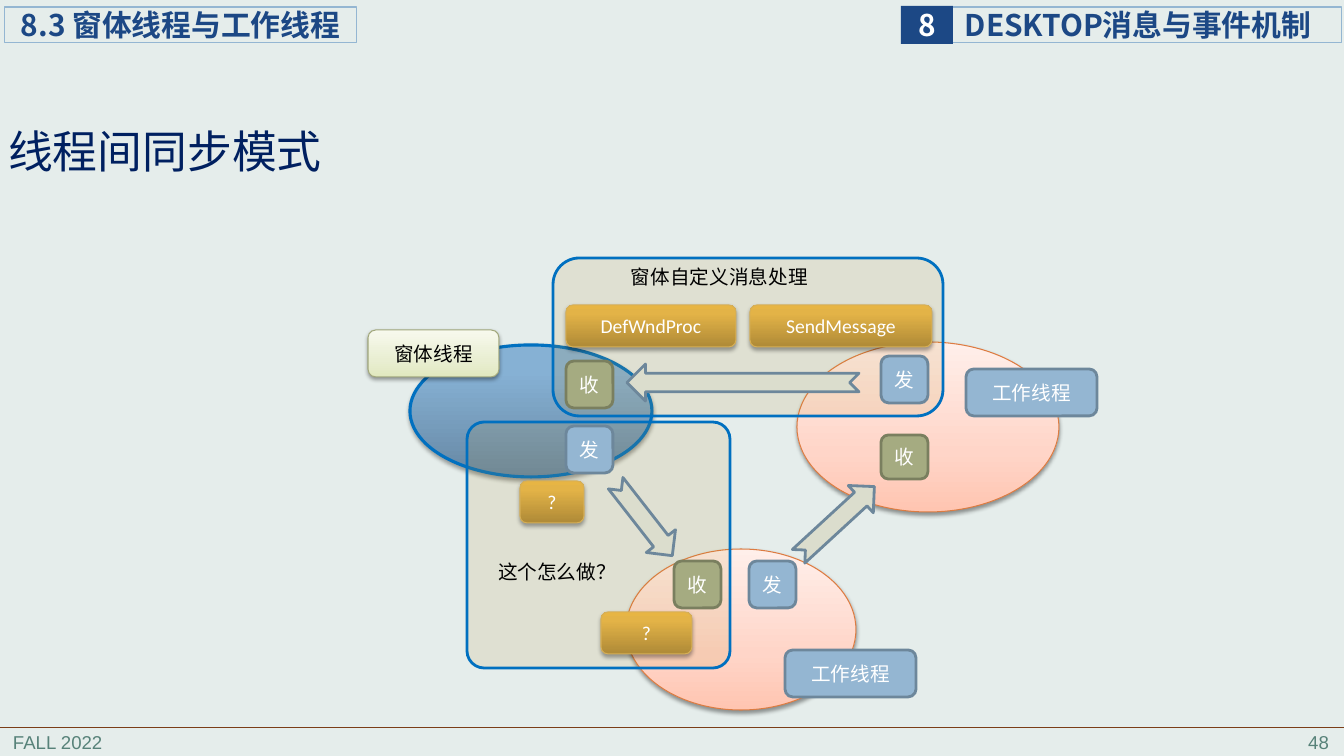
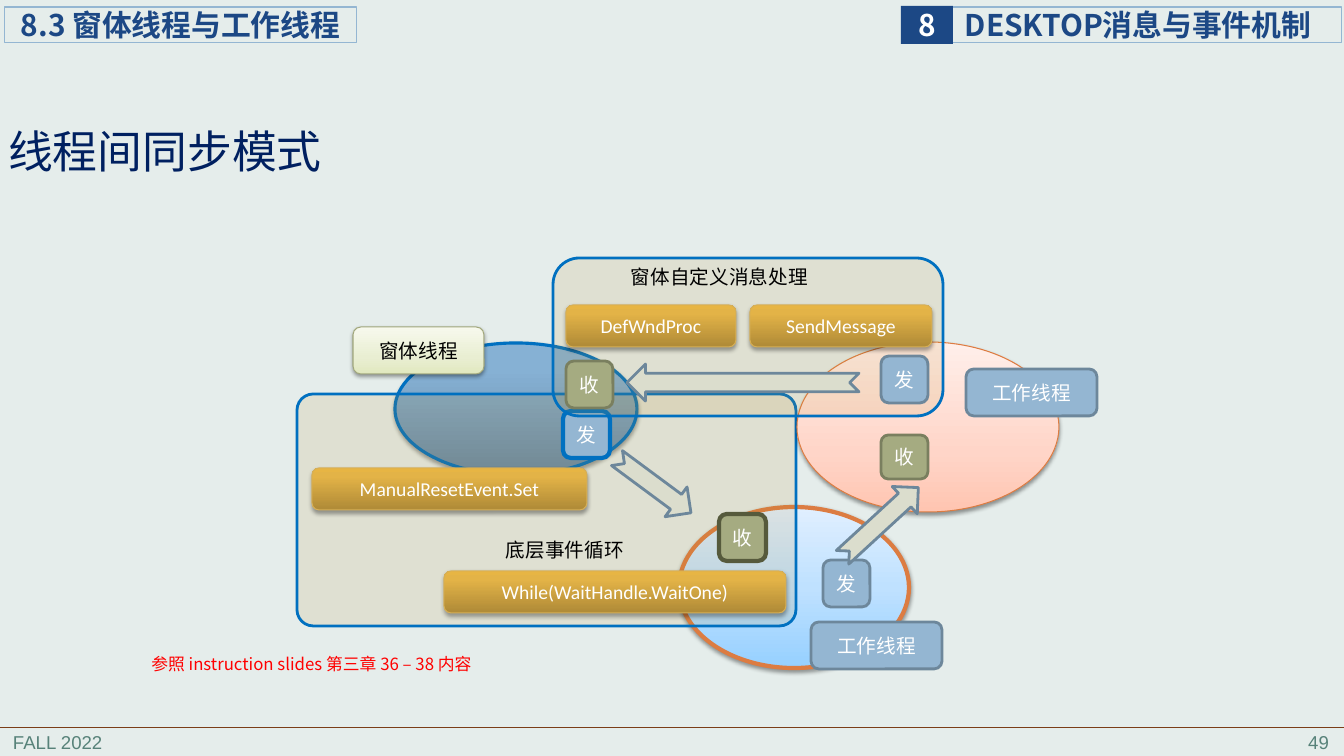
from dataclasses import dataclass, replace

from lxml import etree
from pptx import Presentation
from pptx import util as u
from pptx.dml.color import RGBColor
from pptx.enum import shapes, text
from pptx.oxml.ns import qn

PX = 914400 / 100.8  # EMU in one px
PAGE_W, PAGE_H = 1344, 756
Shape, Align, Anchor = shapes.MSO_SHAPE, text.PP_ALIGN, text.MSO_ANCHOR


@dataclass(frozen=True)
class Theme:
    paper: str = "E5EDEB"
    navy: str = "1C4885"
    title: str = "002060"
    footer: str = "578279"
    rule: str = "7B3D17"
    blue: str = "94B6D2"
    blue_edge: str = "6D879B"
    green: str = "A5AB81"
    green_edge: str = "7A7F5F"
    green_dark: str = "565A3C"
    frame: str = "0070C0"
    orange: str = "DC7C42"
    white: str = "FFFFFF"
    black: str = "000000"
    red: str = "FF0000"
    cjk: str = "Noto Sans CJK SC"
    latin: str = "Calibri"
    plain: str = "Arial"
    title_size: float = 32
    header_size: float = 21.3
    footer_size: float = 13.3
    body_size: float = 14
    note_size: float = 12


THEME = Theme()


@dataclass(frozen=True)
class Type:
    colour: str = THEME.white
    size: float = THEME.body_size
    face: str = THEME.cjk
    bold: bool = False
    align: Align = Align.CENTER
    anchor: Anchor = Anchor.MIDDLE
    insets: tuple[int, int, int, int] = (10, 5, 10, 5)
    leading: float = 1.0


@dataclass(frozen=True)
class Look:
    """A preset shape; fill is a list of (position, colour) stops, bottom to top."""
    preset: Shape = Shape.ROUNDED_RECTANGLE
    fill: tuple[tuple[int, str], ...] = ()
    edge: str = ""
    weight: float = 0.75
    opacity: int = 100
    shadow: tuple[int, float] = ()  # opacity in percent, distance in points
    corner: float | None = None
    type: Type = Type()


@dataclass(frozen=True)
class Part:
    look: Look | Type  # a Type alone makes a text box
    left: int
    top: int
    width: int
    height: int
    words: str = ""
    turn: float = 0


# Type styles
CAPTION = Type(THEME.black, align=Align.LEFT, anchor=Anchor.TOP)
NOTE = replace(CAPTION, colour=THEME.red, size=THEME.note_size, align=Align.CENTER)
TITLE = Type(THEME.title, THEME.title_size, align=Align.LEFT, insets=(8, 4, 8, 4), leading=0.9)
FOOTER = Type(THEME.footer, THEME.footer_size, THEME.plain, align=Align.LEFT, anchor=Anchor.TOP)
HEADER = Type(THEME.navy, THEME.header_size, bold=True, align=Align.LEFT, insets=(16, 0, 0, 0))
CHAPTER = replace(HEADER, insets=(12, 0, 0, 0))
NUMBER = replace(HEADER, colour=THEME.white, align=Align.CENTER, insets=(0, 0, 0, 0))

# Shape styles
SOFT, STRONG = (38, 1.6), (35, 1.8)
SECTION_BOX = Look(Shape.RECTANGLE, edge=THEME.blue, type=HEADER)
CHAPTER_BOX = replace(SECTION_BOX, type=CHAPTER)
NUMBER_BOX = Look(Shape.RECTANGLE, ((0, THEME.navy),), type=NUMBER)
WORKER = Look(Shape.OVAL, ((0, "FFC5B1"), (35, "FFD5C8"), (100, "FFEFEA")),
              THEME.orange, shadow=SOFT)
BLUE_WORKER = replace(WORKER, fill=((0, "96D0FF"), (50, "BFE1FF"), (100, "E0EFFF")), weight=3)
FORM = Look(Shape.OVAL, ((0, "6788A4"), (80, "86B1D4"), (100, "86B2D7")),
            THEME.frame, 2.25, shadow=STRONG)
PANEL = Look(fill=((0, "BA8F2D"),), edge=THEME.frame, weight=2, opacity=13)
LOW_PANEL = replace(PANEL, corner=0.07)
SEND = Look(fill=((0, THEME.blue),), edge=THEME.blue_edge, weight=2)
RECEIVE = replace(SEND, fill=((0, THEME.green),), edge=THEME.green_edge)
SEND_MARKED = replace(SEND, edge=THEME.frame, weight=3)
RECEIVE_MARKED = replace(RECEIVE, edge=THEME.green_dark, weight=3)
ARROW = Look(Shape.NOTCHED_RIGHT_ARROW, ((0, "DBDDCD"),), THEME.blue_edge, 2)
CALL = Look(fill=((0, "AF8A37"), (80, "E3B347"), (100, "E7B544")), edge="D6AF57",
            shadow=STRONG, type=Type(face=THEME.latin))
FORM_LABEL = Look(fill=((0, "E1E8BF"), (35, "E9EED2"), (100, "F7F9ED")), edge="A2A87D",
                  shadow=SOFT, type=Type(THEME.black))


# Part makers for the sizes that repeat
def button(look: Look, left: int, top: int, height: int = 47) -> Part:
    words = "收" if look in (RECEIVE, RECEIVE_MARKED) else "发"
    return Part(look, left, top, 47, height, words)


def label(look: Look, left: int, top: int) -> Part:
    words = "窗体线程" if look is FORM_LABEL else "工作线程"
    return Part(look, left, top, 131, 47, words)


def call(left: int, top: int, width: int, words: str) -> Part:
    return Part(CALL, left, top, width, 42, words)


def arrow(left: int, top: int, width: int, turn: float) -> Part:
    return Part(ARROW, left, top, width, 37, turn=turn)


# Parts on every slide
BANDS = [
    Part(CHAPTER_BOX, 953, 7, 389, 36, "DESKTOP消息与事件机制"),
    Part(NUMBER_BOX, 901, 6, 52, 38, "8"),
    Part(SECTION_BOX, 5, 7, 352, 36, "8.3 窗体线程与工作线程"),
    Part(FOOTER, 3, 726, 280, 31, "FALL 2022"),
]
UPPER_FLOW = [
    Part(WORKER, 797, 342, 262, 170),
    Part(PANEL, 553, 258, 390, 158),
    arrow(627, 364, 232, 180),
    Part(TITLE, 0, 117, 488, 75, "线程间同步模式"),
    call(750, 305, 182, "SendMessage"),
    label(SEND, 966, 369),
    button(SEND, 881, 356),
    button(RECEIVE, 566, 361),
    button(RECEIVE, 881, 435, 44),
    call(566, 305, 170, "DefWndProc"),
    Part(CAPTION, 621, 260, 249, 40, "窗体自定义消息处理"),
]


@dataclass(frozen=True)
class Scene:
    number: int
    behind: list[Part]
    front: list[Part]


SCENES = [
    # The open question
    Scene(48, [
        Part(WORKER, 626, 549, 230, 161),
        Part(FORM, 410, 345, 242, 132),
        Part(LOW_PANEL, 467, 422, 263, 246),
    ], [
        label(SEND, 785, 650),
        label(FORM_LABEL, 368, 330),
        button(SEND, 749, 561),
        arrow(785, 503, 103, 317.4),
        button(SEND, 566, 426),
        arrow(598, 501, 92, 52),
        button(RECEIVE, 674, 561),
        call(520, 481, 64, "?"),
        call(601, 612, 91, "?"),
        Part(CAPTION, 488, 555, 174, 40, "这个怎么做？"),
    ]),
    # The answer with events
    Scene(49, [
        Part(BLUE_WORKER, 679, 507, 230, 161),
        Part(FORM, 395, 343, 242, 132),
        Part(LOW_PANEL, 297, 394, 499, 232),
        label(SEND, 811, 622),
        label(FORM_LABEL, 353, 327),
        button(SEND_MARKED, 563, 411),
        arrow(608, 467, 92, 36.5),
        button(RECEIVE_MARKED, 719, 514),
        call(312, 468, 275, "ManualResetEvent.Set"),
        call(444, 571, 342, "While(WaitHandle.WaitOne)"),
        Part(CAPTION, 496, 533, 174, 40, "底层事件循环"),
    ], [
        button(SEND, 823, 560),
        arrow(829, 504, 103, 317.4),
        Part(NOTE, 127, 649, 369, 30, "参照 instruction slides 第三章 36 – 38 内容"),
    ]),
]


def px(length: float) -> int:
    return round(length * PX)


def rgb(colour: str) -> RGBColor:
    return RGBColor.from_string(colour)


def add_node(parent, tag: str, **attributes):
    values = {name: str(value) for name, value in attributes.items()}
    return etree.SubElement(parent, qn(tag), values)


def set_text(box, words: str, style: Type) -> None:
    frame = box.text_frame
    frame.text = words
    frame.word_wrap = True
    frame.vertical_anchor = style.anchor
    (frame.margin_left, frame.margin_top,
     frame.margin_right, frame.margin_bottom) = map(px, style.insets)
    para = frame.paragraphs[0]
    para.alignment = style.align
    para.line_spacing = style.leading
    for span in para.runs:
        span.font.size = u.Pt(style.size)
        span.font.bold = style.bold
        span.font.color.rgb = rgb(style.colour)
        span.font.name = style.face
        add_node(span.font._element, "a:ea", typeface=style.face)


def set_fill(box, look: Look) -> None:
    properties = box._element.spPr
    if not look.fill:
        box.fill.background()
    elif len(look.fill) == 1:
        box.fill.solid()
        box.fill.fore_color.rgb = rgb(look.fill[0][1])
        if look.opacity < 100:
            colour = properties.find(qn("a:solidFill"))[0]
            add_node(colour, "a:alpha", val=look.opacity * 1000)
    else:
        box.fill.gradient()
        box.fill.gradient_angle = 90
        stops = properties.find(".//" + qn("a:gsLst"))
        stops[:] = []
        for position, colour in look.fill:
            stop = add_node(stops, "a:gs", pos=position * 1000)
            add_node(stop, "a:srgbClr", val=colour)


def set_shadow(box, look: Look) -> None:
    box.shadow.inherit = False
    if look.shadow:
        opacity, distance = look.shadow
        effects = box._element.spPr.find(qn("a:effectLst"))
        outer = add_node(effects, "a:outerShdw", blurRad=u.Pt(3.1), dist=u.Pt(distance),
                         dir=90 * 60000, rotWithShape=0)
        colour = add_node(outer, "a:srgbClr", val=THEME.black)
        add_node(colour, "a:alpha", val=opacity * 1000)


def draw(page, part: Part) -> None:
    place = [px(length) for length in (part.left, part.top, part.width, part.height)]
    look = part.look
    if isinstance(look, Type):
        set_text(page.shapes.add_textbox(*place), part.words, look)
        return
    box = page.shapes.add_shape(look.preset, *place)
    box.rotation = part.turn
    if look.corner is not None:
        box.adjustments[0] = look.corner
    set_fill(box, look)
    if look.edge:
        box.line.color.rgb = rgb(look.edge)
        box.line.width = u.Pt(look.weight)
    else:
        box.line.fill.background()
    set_shadow(box, look)
    if part.words:
        set_text(box, part.words, look.type)


def draw_rule(page) -> None:
    rule = page.shapes.add_connector(shapes.MSO_CONNECTOR.STRAIGHT,
                                     0, px(727), px(PAGE_W), px(727))
    rule.line.color.rgb = rgb(THEME.rule)
    rule.line.width = u.Pt(0.5)
    add_node(rule._element.spPr, "a:effectLst")


def add_page(deck, scene: Scene) -> None:
    page = deck.slides.add_slide(deck.slide_layouts[6])
    page.background.fill.solid()
    page.background.fill.fore_color.rgb = rgb(THEME.paper)
    draw_rule(page)
    page_number = Part(replace(FOOTER, align=Align.RIGHT), 1059, 726, 280, 31, str(scene.number))
    for part in [*BANDS, page_number, *scene.behind, *UPPER_FLOW, *scene.front]:
        draw(page, part)


def main() -> None:
    deck = Presentation()
    deck.slide_width, deck.slide_height = px(PAGE_W), px(PAGE_H)
    for scene in SCENES:
        add_page(deck, scene)
    deck.save("out.pptx")


if __name__ == "__main__":
    main()
